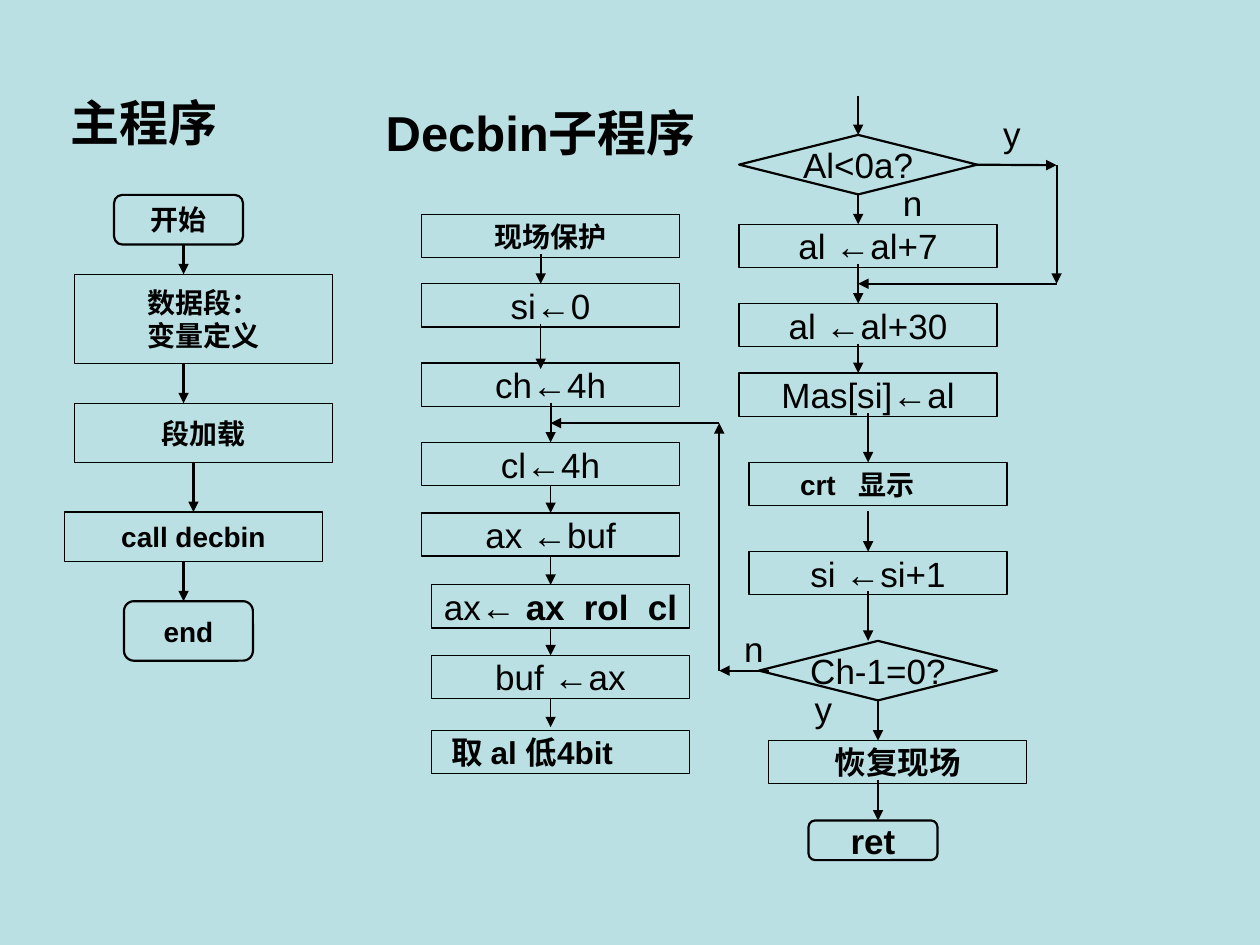
"""Build a flowchart slide of a main program and its Decbin subroutine."""
from dataclasses import dataclass
from typing import Optional

from lxml import etree
from pptx import Presentation, util as u
from pptx.dml.color import RGBColor
from pptx.enum import shapes, text
from pptx.oxml.ns import qn

COLORS = {"ground": "BBE0E3", "ink": "000000"}
PROCESS = shapes.MSO_SHAPE.FLOWCHART_PROCESS
TERMINAL = shapes.MSO_SHAPE.ROUNDED_RECTANGLE
DECISION = shapes.MSO_SHAPE.DIAMOND
CENTER, LEFT = text.PP_ALIGN.CENTER, text.PP_ALIGN.LEFT
JOIN_TOLERANCE = u.Cm(0.05)


@dataclass(frozen=True)
class Node:
    label: str
    left: float
    top: float
    width: float = 5.2
    height: float = 0.87
    kind: int = PROCESS
    size: int = 20
    bold: bool = False
    align: int = CENTER
    inset: float = 0.25
    prefix: str = ""
    tabs: tuple[float, ...] = ()


@dataclass(frozen=True)
class Arrow:
    x1: float
    y1: float
    x2: float
    y2: float
    weight: float = 1.25


@dataclass(frozen=True)
class Caption:
    label: str
    left: float
    top: float
    width: float = 1.0
    height: float = 1.12
    size: int = 20
    bold: bool = False


HEADING = Caption("主程序", 0.9, 1.73, 4, 1.45, 28, True)
CAPTIONS = [
    Caption("Decbin子程序", 7.3, 1.93, 7.2, 1.45, 28, True),
    Caption("y", 19.9, 2.13),
    Caption("n", 17.9, 3.53),
    Caption("y", 16.1, 13.72),
    Caption("n", 14.7, 12.52),
]
NODES = [
    Node("开始", 2.3, 3.93, 2.6, 1, TERMINAL, 16, True),
    Node("数据段：\n变量定义", 1.5, 5.53, height=1.8, size=16, bold=True),
    Node("段加载", 1.5, 8.13, height=1.2, size=16, bold=True),
    Node("call decbin", 1.3, 10.32, height=1, size=16, bold=True),
    Node("end", 2.5, 12.12, 2.6, 1.2, TERMINAL, 16, True),
    Node("现场保护", 8.5, 4.32, size=16, bold=True),
    Node("si←0", 8.5, 5.72),
    Node("ch←4h", 8.5, 7.32),
    Node("cl←4h", 8.5, 8.92),
    Node("ax ←buf", 8.5, 10.34),
    Node("ax\trol\tcl", 8.7, 11.79, bold=True, align=LEFT, prefix="ax← ", tabs=(2.82, 4.11)),
    Node("buf ←ax", 8.7, 13.21),
    Node("取 al 低4bit", 8.7, 14.73, size=18, bold=True, align=LEFT, inset=0.41),
    Node("Al<0a?", 14.9, 2.72, 4.8, 1.2, DECISION),
    Node("al ←al+7", 14.9, 4.52),
    Node("al ←al+30", 14.9, 6.12),
    Node("Mas[si]←al", 14.9, 7.52),
    Node("crt\t显示", 15.1, 9.32, size=16, bold=True, align=LEFT, inset=1.03, tabs=(1.17,)),
    Node("si ←si+1", 15.1, 11.12),
    Node("Ch-1=0?", 15.3, 12.92, 4.8, 1.2, DECISION),
    Node("恢复现场", 15.5, 14.93, size=18, bold=True),
    Node("ret", 16.3, 16.54, 2.6, 0.8, TERMINAL, 20, True),
]
DOWN_ARROWS = [
    (3.7, 1.25, [(4.93, 5.53), (7.33, 8.13), (11.32, 12.12)]),
    (3.9, 1.25, [(9.33, 10.32)]),
    (10.9, 1.25, [(5.13, 5.72)]),
    (10.9, 0.75, [(6.53, 7.44)]),
    (11.1, 1.25, [(8.13, 8.92)]),
    (11.1, 0.75, [(9.79, 10.34), (11.21, 11.79), (12.65, 13.21), (14.08, 14.66)]),
    (17.3, 1.25, [(1.93, 2.72), (3.92, 4.52), (5.33, 6.12), (6.93, 7.52)]),
    (17.5, 1.25, [(8.33, 9.32), (10.31, 11.12), (11.91, 12.92)]),
    (17.7, 1.25, [(14.12, 14.93), (15.72, 16.54)]),
]
ROUTES = [
    [(19.7, 3.33), (21.3, 3.33), (21.3, 5.72), (17.3, 5.72)],
    [(15.5, 13.52), (14.5, 13.52), (14.5, 8.53), (11.1, 8.53)],
]


def color(name: str) -> RGBColor:
    return RGBColor.from_string(COLORS[name])


def write_text(shape, label: str, *, size: int, bold: bool = False, align: int = CENTER,
               anchor: int = text.MSO_ANCHOR.TOP, wrap: bool = True, inset: float = 0.25,
               prefix: str = "", tabs: tuple[float, ...] = ()) -> None:
    frame = shape.text_frame
    frame.auto_size = text.MSO_AUTO_SIZE.NONE
    frame.word_wrap = wrap
    frame.vertical_anchor = anchor
    frame.margin_left = u.Cm(inset)
    frame.margin_right = u.Cm(0.25 if align == CENTER else 0)
    frame.margin_top = frame.margin_bottom = u.Cm(0.13)
    for index, line in enumerate(label.split("\n")):
        para = frame.add_paragraph() if index else frame.paragraphs[0]
        para.alignment = align
        if tabs:
            stops = etree.SubElement(para._p.get_or_add_pPr(), qn("a:tabLst"))
            for stop in tabs:
                etree.SubElement(stops, qn("a:tab"), pos=str(u.Cm(stop)), algn="l")
        for words, heavy in ((prefix, False), (line, bold)):
            if words:
                span = para.add_run()
                span.text = words
                span.font.name = "Arial"
                span.font.size = u.Pt(size)
                span.font.bold = heavy
                span.font.color.rgb = color("ink")


def draw_node(page, node: Node):
    box = page.shapes.add_shape(node.kind, u.Cm(node.left), u.Cm(node.top),
                                u.Cm(node.width), u.Cm(node.height))
    box.shadow.inherit = False
    if node.kind == PROCESS:
        box.fill.background()
    else:
        box.fill.solid()
        box.fill.fore_color.rgb = color("ground")
    box.line.color.rgb = color("ink")
    box.line.width = u.Pt(0.75 if node.kind == PROCESS else 1.25)
    write_text(box, node.label, size=node.size, bold=node.bold, align=node.align,
               anchor=text.MSO_ANCHOR.MIDDLE, wrap=node.align == LEFT,
               inset=node.inset, prefix=node.prefix, tabs=node.tabs)
    return box


def find_side(boxes: list, x: int, y: int) -> Optional[tuple]:
    for box in boxes:
        middle, center = box.left + box.width // 2, box.top + box.height // 2
        sides = [(middle, box.top), (box.left, center),
                 (middle, box.top + box.height), (box.left + box.width, center)]
        for side, (side_x, side_y) in enumerate(sides):
            if max(abs(side_x - x), abs(side_y - y)) <= JOIN_TOLERANCE:
                return box, side
    return None


def draw_arrow(page, arrow: Arrow, boxes: list) -> None:
    x1, y1, x2, y2 = (u.Cm(value) for value in (arrow.x1, arrow.y1, arrow.x2, arrow.y2))
    line = page.shapes.add_connector(shapes.MSO_CONNECTOR.STRAIGHT, x1, y1, x2, y2)
    for join, x, y in ((line.begin_connect, x1, y1), (line.end_connect, x2, y2)):
        target = find_side(boxes, x, y)
        if target:
            join(*target)
    line.line.color.rgb = color("ink")
    line.line.width = u.Pt(arrow.weight)
    etree.SubElement(line.line._get_or_add_ln(), qn("a:tailEnd"), type="triangle")
    etree.SubElement(line._element.spPr, qn("a:effectLst"))


def place_caption(box, caption: Caption) -> None:
    box.left, box.top = u.Cm(caption.left), u.Cm(caption.top)
    box.width, box.height = u.Cm(caption.width), u.Cm(caption.height)
    write_text(box, caption.label, size=caption.size, bold=caption.bold)


def main() -> None:
    deck = Presentation()
    deck.slide_width, deck.slide_height = u.Cm(25.4), u.Cm(19.05)
    page = deck.slides.add_slide(deck.slide_layouts[5])
    page.background.fill.solid()
    page.background.fill.fore_color.rgb = color("ground")
    place_caption(page.shapes.title, HEADING)
    for caption in CAPTIONS:
        place_caption(page.shapes.add_textbox(0, 0, 0, 0), caption)
    boxes = [draw_node(page, node) for node in NODES]
    arrows = [Arrow(x, top, x, bottom, weight)
              for x, weight, spans in DOWN_ARROWS for top, bottom in spans]
    arrows += [Arrow(*start, *end) for route in ROUTES for start, end in zip(route, route[1:])]
    for arrow in arrows:
        draw_arrow(page, arrow, boxes)
    deck.save("out.pptx")


if __name__ == "__main__":
    main()
